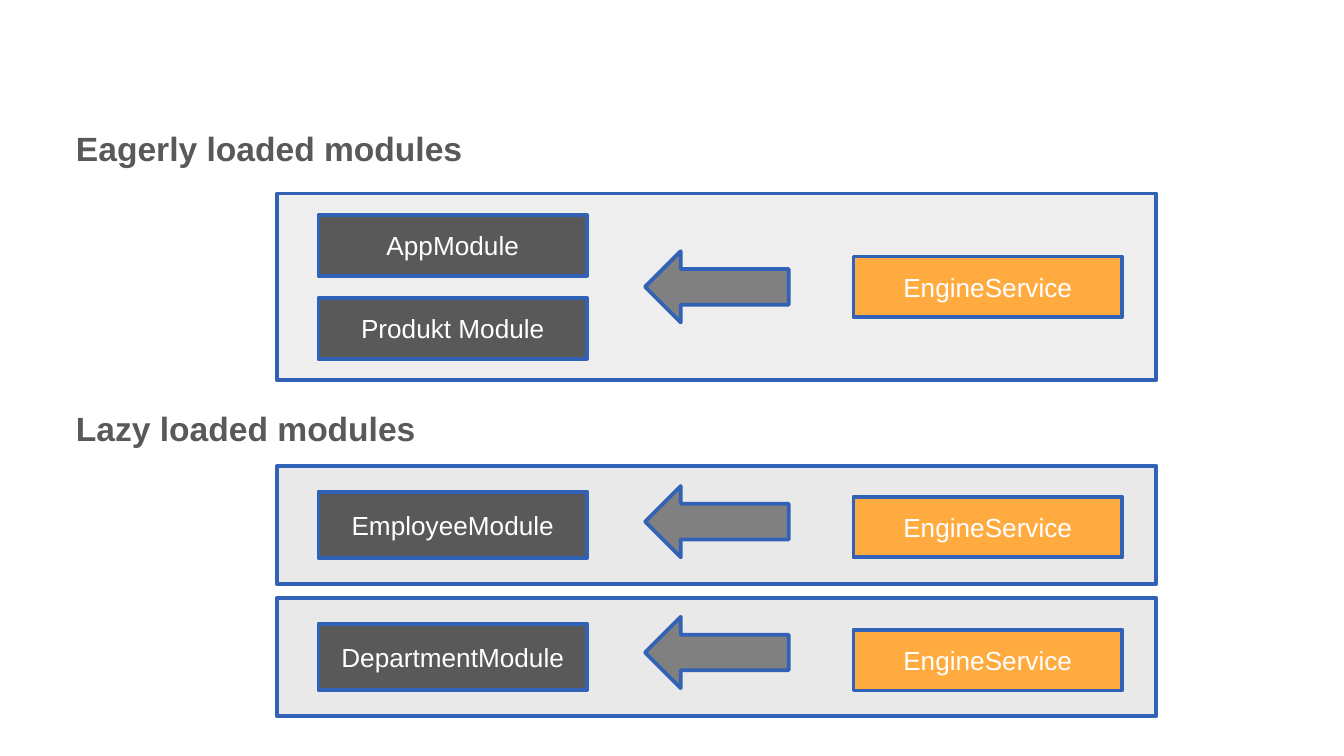
import dataclasses

import pptx
import pptx.dml.color
import pptx.enum.shapes
import pptx.enum.text
import pptx.util
from lxml import etree

Pt = pptx.util.Pt
Preset = pptx.enum.shapes.MSO_SHAPE


@dataclasses.dataclass(frozen=True)
class Theme:
    """Colours, font and type sizes of the slide."""

    font: str = "Arial"
    heading_size: float = 18
    label_size: float = 14
    heading: str = "595959"
    label: str = "FFFFFF"
    outline: str = "3162B5"
    outline_width: float = 2
    eager_panel: str = "EEEEEE"
    lazy_panel: str = "E9E9E9"
    module: str = "595959"
    service: str = "FFAB40"
    arrow: str = "808080"


THEME = Theme()


def rgb(value):
    """Return the colour for a hex value."""
    return pptx.dml.color.RGBColor.from_string(value)


def style_font(font, size, color, bold=False):
    """Apply the theme font with a size, colour and weight."""
    font.name = THEME.font
    font.size = Pt(size)
    font.bold = bold
    font.color.rgb = rgb(color)


def add_block(slide, preset, left, middle, width, height, fill):
    """Add an outlined shape centred vertically on middle."""
    block = slide.shapes.add_shape(
        preset, Pt(left), Pt(middle - height / 2), Pt(width), Pt(height))
    block.shadow.inherit = False
    block.fill.solid()
    block.fill.fore_color.rgb = rgb(fill)
    block.line.color.rgb = rgb(THEME.outline)
    block.line.width = Pt(THEME.outline_width)
    return block


def add_labelled_box(slide, label, left, middle, height, fill):
    """Add a box with a centred white label."""
    box = add_block(slide, Preset.RECTANGLE, left, middle, 144, height, fill)
    box.text_frame.text = label
    box.text_frame.vertical_anchor = pptx.enum.text.MSO_ANCHOR.MIDDLE
    paragraph = box.text_frame.paragraphs[0]
    paragraph.alignment = pptx.enum.text.PP_ALIGN.CENTER
    style_font(paragraph.font, THEME.label_size, THEME.label)


def add_module_group(slide, modules, top, height, fill, module_height,
                     arrow_shift=0, service_shift=0):
    """Add a panel whose modules receive the engine service."""
    middle = top + height / 2
    add_block(slide, Preset.RECTANGLE, 148.5, middle, 471, height, fill)
    pitch = module_height + 12
    first = middle - pitch * (len(modules) - 1) / 2
    for row, module in enumerate(modules):
        add_labelled_box(slide, module, 170.6, first + row * pitch,
                         module_height, THEME.module)
    add_block(slide, Preset.LEFT_ARROW, 345.6, middle + arrow_shift, 77, 38.2,
              THEME.arrow)
    add_labelled_box(slide, "EngineService", 457.2, middle + service_shift,
                     32.5, THEME.service)


def fill_headings(body, headings, gap):
    """Write the section headings into the body placeholder."""
    body.left, body.top = Pt(24.5), Pt(58.3)
    body.width, body.height = Pt(671), Pt(269.3)
    frame = body.text_frame
    frame.text = "\n".join(headings)
    frame.word_wrap = True
    frame.auto_size = pptx.enum.text.MSO_AUTO_SIZE.NONE
    frame.vertical_anchor = pptx.enum.text.MSO_ANCHOR.TOP
    frame.margin_left = frame.margin_right = Pt(7.2)
    frame.margin_top = frame.margin_bottom = Pt(7.2)
    for index, paragraph in enumerate(frame.paragraphs):
        paragraph.line_spacing = 1.15
        paragraph.space_before = Pt(gap * index)
        style_font(paragraph.font, THEME.heading_size, THEME.heading, True)
        properties = paragraph._p.get_or_add_pPr()
        properties.set("marL", str(Pt(9)))
        properties.set("indent", "0")
        bullet = etree.Element(pptx.oxml.ns.qn("a:buNone"))
        properties.find(pptx.oxml.ns.qn("a:defRPr")).addprevious(bullet)


def main():
    """Build the slide and save it."""
    deck = pptx.Presentation()
    deck.slide_width, deck.slide_height = Pt(720), Pt(405)
    slide = deck.slides.add_slide(deck.slide_layouts[1])
    unused_title = slide.shapes.title.element
    unused_title.getparent().remove(unused_title)

    fill_headings(slide.placeholders[1],
                  ["Eagerly loaded modules", "Lazy loaded modules"], 125)
    add_module_group(slide, ["AppModule", "Produkt Module"], 103.7, 100,
                     THEME.eager_panel, 32.5)
    lazy_groups = [("EmployeeModule", -1.8, 1), ("DepartmentModule", -2.4, 1.7)]
    for row, (module, arrow_shift, service_shift) in enumerate(lazy_groups):
        add_module_group(slide, [module], 249.6 + row * 70.7, 63.4,
                         THEME.lazy_panel, 35.5, arrow_shift, service_shift)
    deck.save("out.pptx")


if __name__ == "__main__":
    main()
